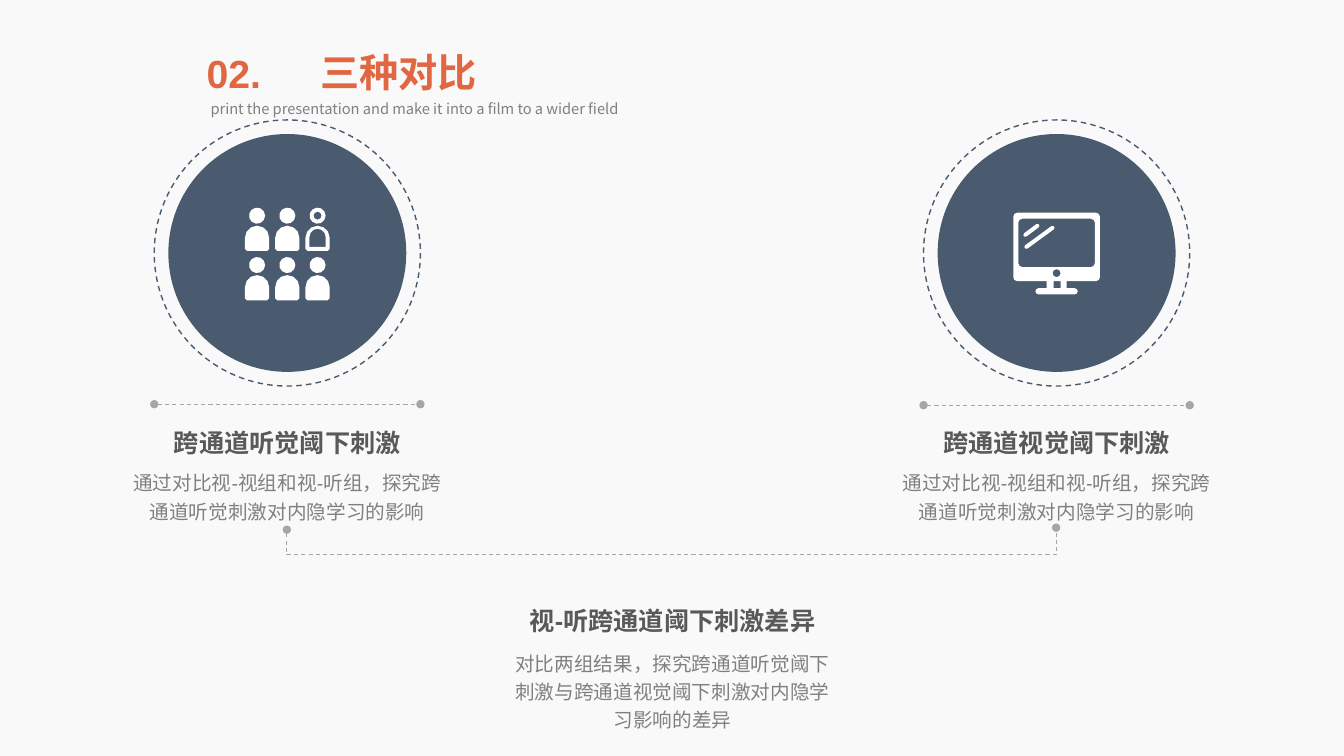
from dataclasses import dataclass
from math import atan2, cos, pi, sin, sqrt

from lxml.etree import SubElement
from pptx import Presentation
from pptx.dml.color import RGBColor
from pptx.enum.dml import MSO_LINE_DASH_STYLE as Dash
from pptx.enum.shapes import MSO_CONNECTOR as Link, MSO_SHAPE as Preset
from pptx.enum.text import MSO_ANCHOR as Anchor, MSO_AUTO_SIZE as Fit, PP_ALIGN as Align
from pptx.oxml.ns import qn
from pptx.util import Inches, Pt

PAPER = RGBColor(0xF9, 0xF9, 0xF9)
SLATE = RGBColor(0x4A, 0x5A, 0x6F)
ORANGE = RGBColor(0xE0, 0x67, 0x41)
WHITE = RGBColor(0xFF, 0xFF, 0xFF)
RULE_GRAY = RGBColor(0xA6, 0xA6, 0xA6)
BODY_GRAY = RGBColor(0x80, 0x80, 0x80)
HEAD_GRAY = RGBColor(0x59, 0x59, 0x59)
CJK_FONT = "Noto Sans CJK SC"
UNITS_PER_INCH = 1000

Contour = list[tuple[float, float]]


@dataclass
class Caption:
    center: float
    top: float
    heading: str
    body: str
    gap: float


@dataclass
class Medallion:
    center: float
    rule_top: float
    icon: list[Contour]


def arc(x: float, y: float, radius: float, start: float, sweep: float) -> Contour:
    if not radius:
        return [(x, y)]
    steps = max(1, round(6 * sweep * sqrt(radius)))
    angles = [start + sweep * step / steps for step in range(steps + 1)]
    return [(x + radius * cos(angle), y + radius * sin(angle)) for angle in angles]


def circle(x: float, y: float, radius: float) -> Contour:
    return arc(x, y, radius, 0, 2 * pi)[:-1]


def rounded(left: float, top: float, width: float, height: float,
            upper: float = 0, lower: float = 0) -> Contour:
    right, bottom = left + width, top + height
    return (arc(left + upper, top + upper, upper, pi, pi / 2)
            + arc(right - upper, top + upper, upper, 1.5 * pi, pi / 2)
            + arc(right - lower, bottom - lower, lower, 0, pi / 2)
            + arc(left + lower, bottom - lower, lower, pi / 2, pi / 2))


def stroke(x1: float, y1: float, x2: float, y2: float, radius: float) -> Contour:
    angle = atan2(y2 - y1, x2 - x1)
    return arc(x1, y1, radius, angle + pi / 2, pi) + arc(x2, y2, radius, angle - pi / 2, pi)


def audience_icon() -> list[Contour]:
    contours = []
    for row in range(2):
        for column in range(3):
            x, y = 2.55 + 0.3 * column, 2.06 + 0.49 * row
            contours.append(circle(x, y + 0.08, 0.08))
            contours.append(rounded(x - 0.12, y + 0.18, 0.24, 0.25, 0.12, 0.02))
    contours.append(circle(3.15, 2.14, 0.04))
    contours.append(rounded(3.07, 2.27, 0.16, 0.18, 0.08))
    return contours


def monitor_icon() -> list[Contour]:
    return [
        rounded(10.05, 2.11, 0.86, 0.68, 0.04, 0.04),
        rounded(10.1, 2.17, 0.76, 0.48, 0.04, 0.04),
        stroke(10.18, 2.45, 10.44, 2.26, 0.02),
        stroke(10.17, 2.33, 10.29, 2.24, 0.02),
        circle(10.48, 2.71, 0.04),
        rounded(10.38, 2.79, 0.07, 0.07),
        rounded(10.52, 2.79, 0.06, 0.07),
        rounded(10.27, 2.86, 0.42, 0.06, 0.03, 0.03),
    ]


def draw_icon(page, contours: list[Contour]) -> None:
    scaled = [[(x * UNITS_PER_INCH, y * UNITS_PER_INCH) for x, y in contour]
              for contour in contours]
    builder = page.shapes.build_freeform(*scaled[0][0], scale=Inches(1) / UNITS_PER_INCH)
    for index, contour in enumerate(scaled):
        if index:
            builder.move_to(*contour[0])
        builder.add_line_segments(contour[1:], close=True)
    icon = builder.convert_to_shape()
    icon.shadow.inherit = False
    icon.fill.solid()
    icon.fill.fore_color.rgb = WHITE
    icon.line.fill.background()


def draw_circle(page, center: float, radius: float, filled: bool) -> None:
    disc = page.shapes.add_shape(Preset.OVAL, Inches(center - radius), Inches(2.51 - radius),
                                 Inches(2 * radius), Inches(2 * radius))
    disc.shadow.inherit = False
    if filled:
        disc.fill.solid()
        disc.fill.fore_color.rgb = SLATE
        disc.line.fill.background()
    else:
        disc.fill.background()
        disc.line.color.rgb = SLATE
        disc.line.width = Pt(1)
        disc.line.dash_style = Dash.DASH


def draw_link(page, kind, x1: float, y1: float, x2: float, y2: float):
    link = page.shapes.add_connector(kind, Inches(x1), Inches(y1), Inches(x2), Inches(y2))
    link.line.color.rgb = RULE_GRAY
    link.line.width = Pt(0.75)
    link.line.dash_style = Dash.DASH
    for end in ("a:headEnd", "a:tailEnd"):
        SubElement(link.line._ln, qn(end), type="oval")
    SubElement(link._element.spPr, qn("a:effectLst"))
    return link


def draw_bracket(page) -> None:
    bracket = draw_link(page, Link.ELBOW, 6.65, 1.43, 6.67, 9.06)
    properties = bracket._element.spPr
    frame = properties.find(qn("a:xfrm"))
    for name, value in (("rot", "5400000"), ("flipH", "1"), ("flipV", "1")):
        frame.set(name, value)
    guides = properties.find(qn("a:prstGeom")).find(qn("a:avLst"))
    SubElement(guides, qn("a:gd"), name="adj1", fmla="val -1250000")


def write(box, text: str, *, size: float, color: RGBColor, font: str = "Arial",
          bold: bool = False, align=Align.CENTER, spacing: float = 1.2,
          wrap: bool = True) -> None:
    frame = box.text_frame
    frame.word_wrap = wrap
    frame.auto_size = Fit.SHAPE_TO_FIT_TEXT
    frame.vertical_anchor = Anchor.TOP
    para = frame.paragraphs[0]
    para.alignment = align
    para.line_spacing = spacing
    span = para.add_run()
    span.text = text
    span.font.size = Pt(size)
    span.font.bold = bold
    span.font.color.rgb = color
    span.font.name = font
    SubElement(span.font._element, qn("a:ea"), typeface=CJK_FONT)


def add_box(page, left: float, top: float, width: float, height: float):
    return page.shapes.add_textbox(Inches(left), Inches(top), Inches(width), Inches(height))


def draw_header(page) -> None:
    title = page.shapes.title
    title.left, title.top = Inches(3.07), Inches(0.43)
    title.width, title.height = Inches(1.77), Inches(0.57)
    heading = dict(size=28, color=ORANGE, bold=True, spacing=1.0, wrap=False)
    write(title, "三种对比", **heading)
    write(add_box(page, 1.95, 0.44, 0.75, 0.57), "02.", align=Align.LEFT, **heading)
    write(add_box(page, 1.99, 0.92, 4.82, 0.29),
          "print the presentation and make it into a film to a wider field",
          size=10.5, color=BODY_GRAY, font=CJK_FONT, align=Align.LEFT, spacing=1.14)


def draw_medallion(page, item: Medallion) -> None:
    draw_circle(page, item.center, 1.18, True)
    draw_circle(page, item.center, 1.32, False)
    draw_icon(page, item.icon)
    draw_link(page, Link.STRAIGHT, item.center - 1.32, item.rule_top,
              item.center + 1.32, item.rule_top)


def draw_caption(page, item: Caption) -> None:
    left = item.center - 1.7
    write(add_box(page, left, item.top, 3.4, 0.46), item.heading,
          size=18, color=HEAD_GRAY, bold=True)
    write(add_box(page, left, item.top + item.gap, 3.4, 0.67), item.body,
          size=14, color=BODY_GRAY)


def main() -> None:
    deck = Presentation()
    deck.slide_width, deck.slide_height = Inches(13.33), Inches(7.5)
    page = deck.slides.add_slide(deck.slide_layouts[5])
    page.background.fill.solid()
    page.background.fill.fore_color.rgb = PAPER
    channel_body = "通过对比视-视组和视-听组，探究跨通道听觉刺激对内隐学习的影响"
    difference_body = "对比两组结果，探究跨通道听觉阈下刺激与跨通道视觉阈下刺激对内隐学习影响的差异"
    for medallion in (Medallion(2.85, 4.01, audience_icon()),
                      Medallion(10.48, 4.02, monitor_icon())):
        draw_medallion(page, medallion)
    draw_bracket(page)
    for caption in (Caption(2.85, 4.13, "跨通道听觉阈下刺激", channel_body, 0.45),
                    Caption(6.67, 5.9, "视-听跨通道阈下刺激差异", difference_body, 0.47),
                    Caption(10.48, 4.13, "跨通道视觉阈下刺激", channel_body, 0.45)):
        draw_caption(page, caption)
    draw_header(page)
    deck.save("out.pptx")


if __name__ == "__main__":
    main()
